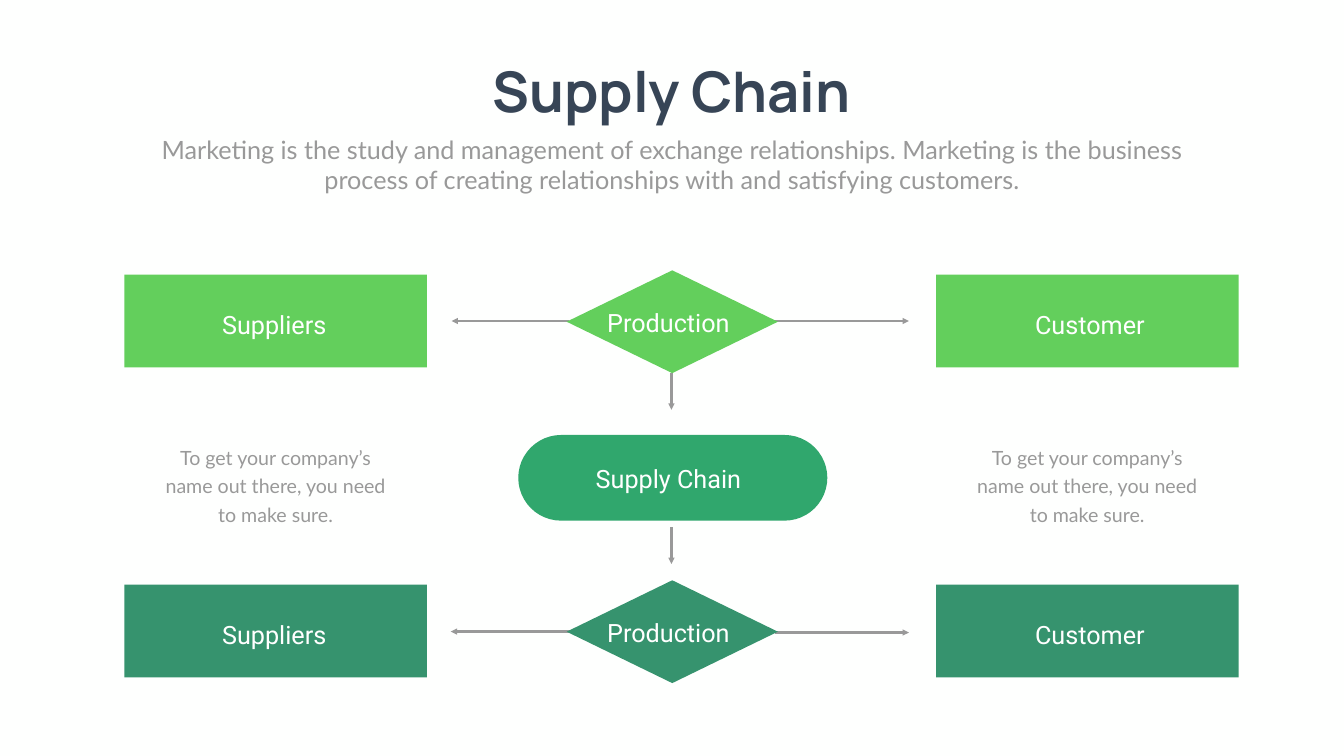
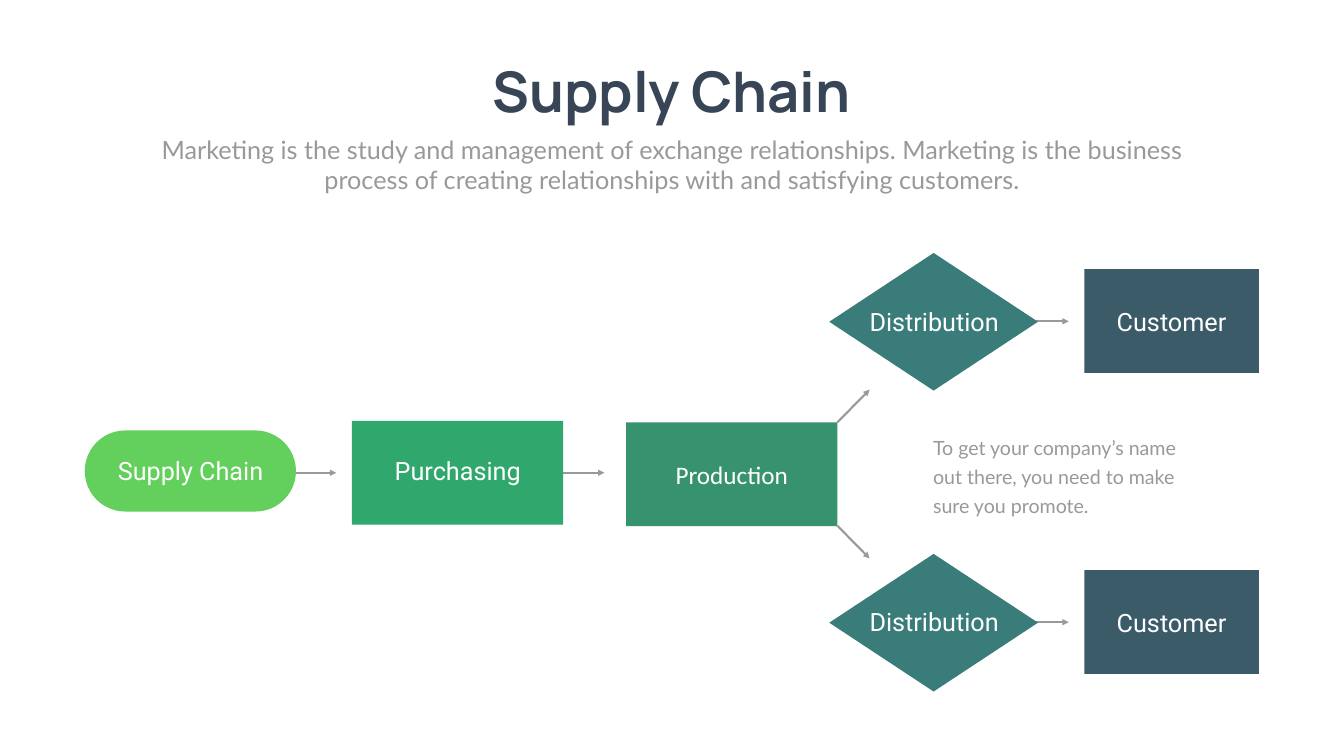
import pptx
import pptx.util
import pptx.dml.color
import pptx.enum.shapes
import pptx.enum.text
import pptx.oxml.ns
from lxml import etree

Pt = pptx.util.Pt
RGBColor = pptx.dml.color.RGBColor
Preset = pptx.enum.shapes.MSO_SHAPE
Align = pptx.enum.text.PP_ALIGN
Anchor = pptx.enum.text.MSO_ANCHOR
AutoSize = pptx.enum.text.MSO_AUTO_SIZE

PAPER = RGBColor(0xFE, 0xFF, 0xFE)
WHITE = RGBColor(0xFF, 0xFF, 0xFF)
INK = RGBColor(0x37, 0x45, 0x56)
GREY = RGBColor(0x99, 0x99, 0x99)
LIME = RGBColor(0x63, 0xCF, 0x5C)
EMERALD = RGBColor(0x30, 0xA7, 0x6D)
FOREST = RGBColor(0x36, 0x93, 0x6E)
TEAL = RGBColor(0x3A, 0x7C, 0x79)
SLATE = RGBColor(0x3B, 0x5B, 0x69)

HEADING = "Supply Chain"
INTRO = ("Marketing is the study and management of exchange relationships. "
         "Marketing is the business process of creating relationships with "
         "and satisfying customers.")


def write(frame, text, font="Roboto", size=36, color=WHITE, bold=False,
          align=Align.CENTER, anchor=Anchor.TOP, spacing=None, wrap=True,
          auto_size=AutoSize.SHAPE_TO_FIT_TEXT):
    frame.word_wrap = wrap
    frame.auto_size = auto_size
    frame.vertical_anchor = anchor
    frame.text = text
    paragraph = frame.paragraphs[0]
    paragraph.alignment = align
    paragraph.space_before = Pt(0)
    if spacing:
        paragraph.line_spacing = Pt(spacing)
    run_font = paragraph.runs[0].font
    run_font.name = font
    run_font.size = Pt(size)
    run_font.bold = bold
    run_font.color.rgb = color


def place(shape, box):
    shape.left, shape.top, shape.width, shape.height = map(Pt, box)


class Deck:
    def __init__(self):
        self.presentation = pptx.Presentation()
        self.presentation.slide_width = Pt(1919.52)
        self.presentation.slide_height = Pt(1080)
        self.slide = None

    def start_slide(self):
        layout = self.presentation.slide_layouts[0]
        self.slide = self.presentation.slides.add_slide(layout)
        fill = self.slide.background.fill
        fill.solid()
        fill.fore_color.rgb = PAPER
        heading, intro = self.slide.placeholders
        place(heading, (674.6, 80.6, 569.5, 104.4))
        heading.text_frame.margin_top = heading.text_frame.margin_bottom = 0
        write(heading.text_frame, HEADING, font="Manrope", size=80,
              color=INK, bold=True, wrap=False)
        place(intro, (210.2, 187.9, 1499, 94.3))
        write(intro.text_frame, INTRO, font="Lato", color=GREY)

    def node(self, preset, box, color, text=None, font="Roboto"):
        shape = self.slide.shapes.add_shape(preset, *map(Pt, box))
        if preset == Preset.ROUNDED_RECTANGLE:
            shape.adjustments[0] = 0.5
        shape.shadow.inherit = False
        shape.fill.solid()
        shape.fill.fore_color.rgb = color
        shape.line.fill.background()
        if text:
            write(shape.text_frame, text, font=font, anchor=Anchor.MIDDLE,
                  auto_size=AutoSize.NONE)

    def label(self, text, box):
        write(self.slide.shapes.add_textbox(*map(Pt, box)).text_frame, text)

    def caption(self, text, box, align=Align.CENTER):
        write(self.slide.shapes.add_textbox(*map(Pt, box)).text_frame, text,
              font="Lato", size=28, color=GREY, align=align, spacing=40.8)

    def arrow(self, *ends):
        connector = self.slide.shapes.add_connector(
            pptx.enum.shapes.MSO_CONNECTOR.STRAIGHT, *map(Pt, ends))
        connector.line.color.rgb = GREY
        connector.line.width = Pt(3)
        qn = pptx.oxml.ns.qn
        properties = connector.element.spPr
        etree.SubElement(properties.find(qn("a:ln")), qn("a:tailEnd"),
                         type="triangle")
        etree.SubElement(properties, qn("a:effectLst"))


def build_two_way_flow(deck):
    deck.start_slide()
    for ends in ((812.2, 458.6, 645.1, 458.6), (1107.4, 458.6, 1298.2, 458.6),
                 (835.9, 902.2, 643.7, 902.2), (1107.4, 903.6, 1298.2, 903.6),
                 (959, 532.8, 959, 585.4), (959, 753.1, 959, 805.7)):
        deck.arrow(*ends)
    deck.node(Preset.ROUNDED_RECTANGLE, (740.2, 621.4, 441.4, 122.4), EMERALD)
    deck.label("Supply Chain", (832.3, 658.8, 244.8, 44.6))
    parties = (("Suppliers", 177.8, 269.3), ("Customer", 1337, 1434.2))
    for row_top, color in ((392.4, LIME), (835.2, FOREST)):
        deck.node(Preset.DIAMOND, (809.3, row_top - 6.2, 301.7, 146.9), color)
        deck.label("Production", (832.3, row_top + 42.5, 244.8, 44.6))
        for party, left, label_left in parties:
            deck.node(Preset.RECTANGLE, (left, row_top, 432, 132.5), color)
            deck.label(party, (label_left, row_top + 45.4, 244.8, 44.6))
    for _, left, _ in parties:
        deck.caption(
            "To get your company’s name out there, you need to make sure.",
            (left + 37.5, 625.7, 356.4, 111.6))


def build_branching_flow(deck):
    deck.start_slide()
    for left in (401.8, 784.8):
        deck.arrow(left, 675.4, left + 78.5, 675.4)
    deck.node(Preset.ROUNDED_RECTANGLE, (121, 614.9, 301.7, 115.9), LIME)
    deck.label("Supply Chain", (149.8, 647.3, 244.8, 51.1))
    deck.node(Preset.RECTANGLE, (502.6, 601.2, 301.7, 148.3), EMERALD)
    deck.label("Purchasing", (531.4, 647.3, 244.8, 51.1))
    deck.node(Preset.RECTANGLE, (894.2, 603.4, 301.7, 148.3), FOREST,
              "Production", font="Calibri")
    for branch_top in (361.4, 791.3):
        middle = branch_top + 97.6
        deck.arrow(1447.2, middle, 1526.4, middle)
        deck.node(Preset.DIAMOND, (1184.4, branch_top, 298.1, 196.6), TEAL)
        deck.label("Distribution", (1208.2, branch_top + 72, 252, 51.1))
        deck.node(Preset.RECTANGLE, (1548.7, branch_top + 23.1, 249.1, 148.3),
                  SLATE, "Customer")
    for corner, tip in ((603.4, 556.6), (751, 797.8)):
        deck.arrow(1195.9, corner, 1242, tip)
    deck.caption("To get your company’s name out there, you need to make sure "
                 "you promote.", (1325.5, 612.7, 379.4, 127.4), Align.LEFT)


def main():
    deck = Deck()
    build_two_way_flow(deck)
    build_branching_flow(deck)
    deck.presentation.save("out.pptx")


if __name__ == "__main__":
    main()
